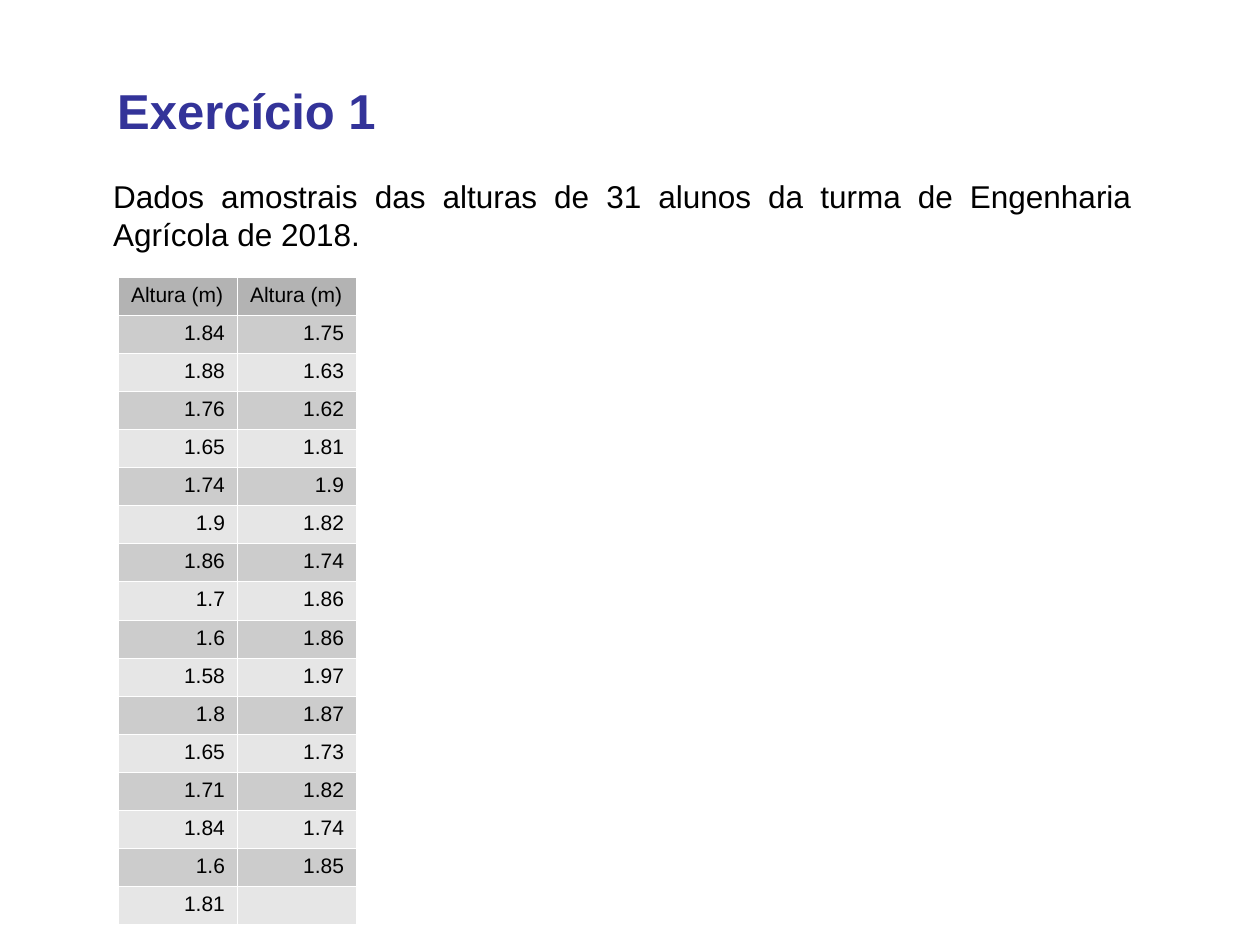
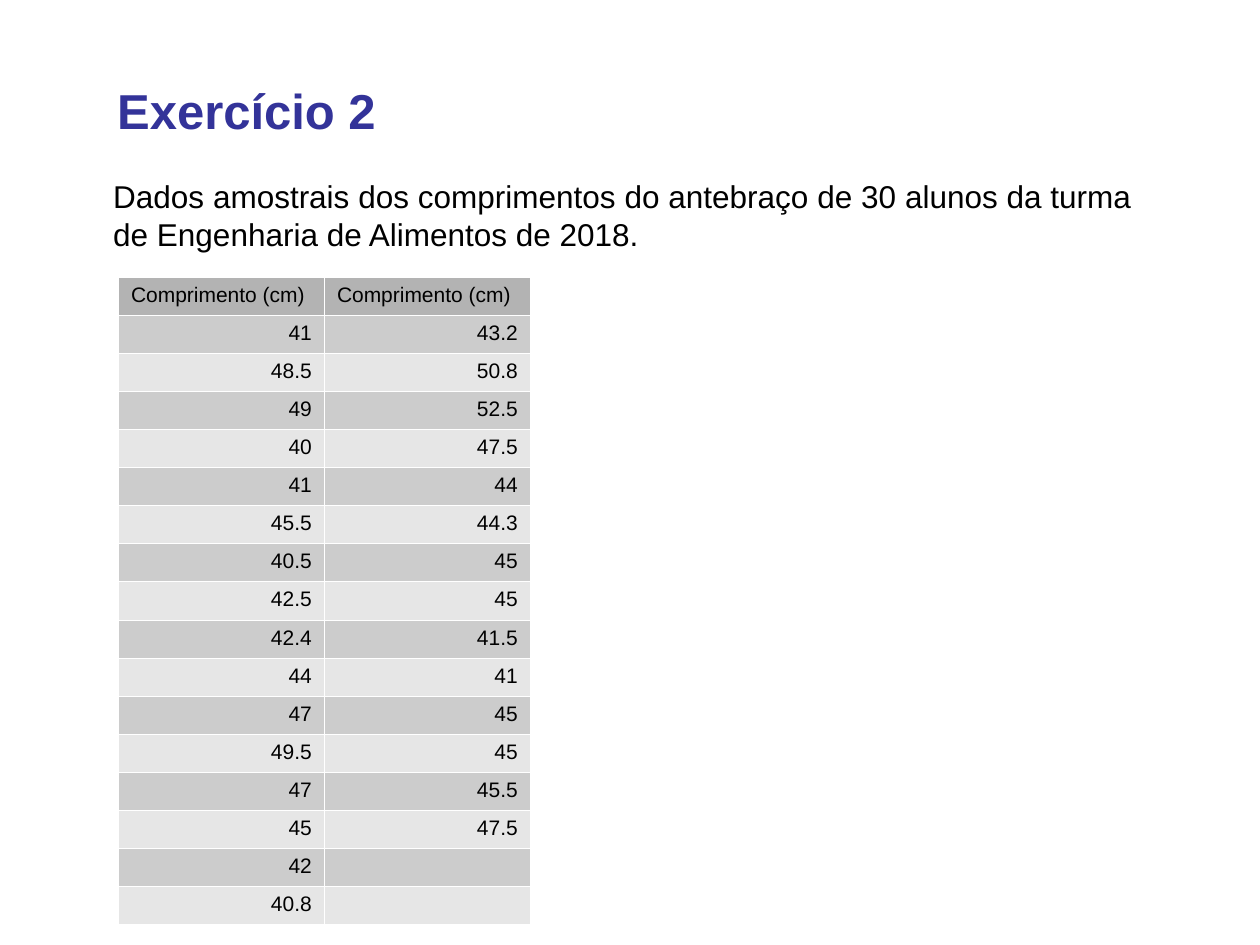
from itertools import zip_longest

from lxml import etree
from pptx import Presentation
from pptx import util as u
from pptx.dml.color import RGBColor
from pptx.enum import text
from pptx.oxml.ns import qn

# Shared style
FONT = "Arial"
TITLE_COLOR, TEXT_COLOR, BORDER_COLOR = "333399", "000000", "FFFFFF"
HEADER_FILL = "B3B3B3"
BAND_FILLS = ["E6E6E6", "CCCCCC"]
TABLE_LEFT, TABLE_TOP, TABLE_HEIGHT = u.Inches(0.94), u.Inches(2.2), u.Inches(5.14)

exercises = [
    {
        "title": "Exercício 1",
        "statement": "Dados amostrais das alturas de 31 alunos da turma de "
                     "Engenharia Agrícola de 2018.",
        "measure": "Altura (m)",
        "column_width": 0.945,
        "samples": [
            "1.84 1.88 1.76 1.65 1.74 1.9 1.86 1.7 1.6 1.58 1.8 1.65 1.71 1.84 1.6 1.81",
            "1.75 1.63 1.62 1.81 1.9 1.82 1.74 1.86 1.86 1.97 1.87 1.73 1.82 1.74 1.85",
        ],
    },
    {
        "title": "Exercício 2",
        "statement": "Dados amostrais dos comprimentos do antebraço de 30 alunos da "
                     "turma de Engenharia de Alimentos de 2018.",
        "measure": "Comprimento (cm)",
        "column_width": 1.635,
        "samples": [
            "41 48.5 49 40 41 45.5 40.5 42.5 42.4 44 47 49.5 47 45 42 40.8",
            "43.2 50.8 52.5 47.5 44 44.3 45 45 41.5 41 45 45 45.5 47.5",
        ],
    },
]


def write(paragraph, words, size, color=TEXT_COLOR, bold=False, align=text.PP_ALIGN.LEFT):
    paragraph.text = words
    paragraph.alignment = align
    font = paragraph.font
    font.name, font.size, font.bold = FONT, u.Pt(size), bold
    font.color.rgb = RGBColor.from_string(color)
    if not words:  # keeps an empty line as low as its neighbours
        etree.SubElement(paragraph._p, qn("a:endParaRPr"), sz=str(size * 100))


def style_cell(cell, fill):
    properties = cell._tc.get_or_add_tcPr()
    for side in ("lnL", "lnR", "lnT", "lnB"):
        line = etree.SubElement(properties, qn("a:" + side), w=str(u.Pt(0.06)))
        solid = etree.SubElement(line, qn("a:solidFill"))
        etree.SubElement(solid, qn("a:srgbClr"), val=BORDER_COLOR)
    cell.fill.solid()
    cell.fill.fore_color.rgb = RGBColor.from_string(fill)


deck = Presentation()
deck.slide_width, deck.slide_height = u.Inches(10), u.Inches(7.5)

for exercise in exercises:
    slide = deck.slides.add_slide(deck.slide_layouts[5])

    # Title
    title = slide.shapes.title
    title.left, title.top = u.Inches(0.83), u.Inches(0.56)
    title.width, title.height = u.Inches(8.51), u.Inches(0.63)
    title.text_frame.auto_size = text.MSO_AUTO_SIZE.NONE
    title.text_frame.vertical_anchor = text.MSO_ANCHOR.MIDDLE
    write(title.text_frame.paragraphs[0], exercise["title"], 28, TITLE_COLOR, bold=True)

    # Statement
    statement = slide.shapes.add_textbox(
        u.Inches(0.8), u.Inches(1.36), u.Inches(8.28), u.Inches(0.7)).text_frame
    statement.word_wrap = True
    statement.auto_size = text.MSO_AUTO_SIZE.SHAPE_TO_FIT_TEXT
    write(statement.paragraphs[0], exercise["statement"], 18, align=text.PP_ALIGN.JUSTIFY)

    # Sample table: header row, then values read down each column
    columns = [[exercise["measure"], *sample.split()] for sample in exercise["samples"]]
    rows = list(zip_longest(*columns, fillvalue=""))
    column_width = u.Inches(exercise["column_width"])
    data = slide.shapes.add_table(
        len(rows), len(columns), TABLE_LEFT, TABLE_TOP,
        column_width * len(columns), TABLE_HEIGHT).table
    data.first_row = data.horz_banding = False
    for r, values in enumerate(rows):
        fill = BAND_FILLS[r % 2] if r else HEADER_FILL
        align = text.PP_ALIGN.RIGHT if r else text.PP_ALIGN.LEFT
        for c, value in enumerate(values):
            cell = data.cell(r, c)
            write(cell.text_frame.paragraphs[0], value, 12, align=align)
            style_cell(cell, fill)

deck.save("out.pptx")
